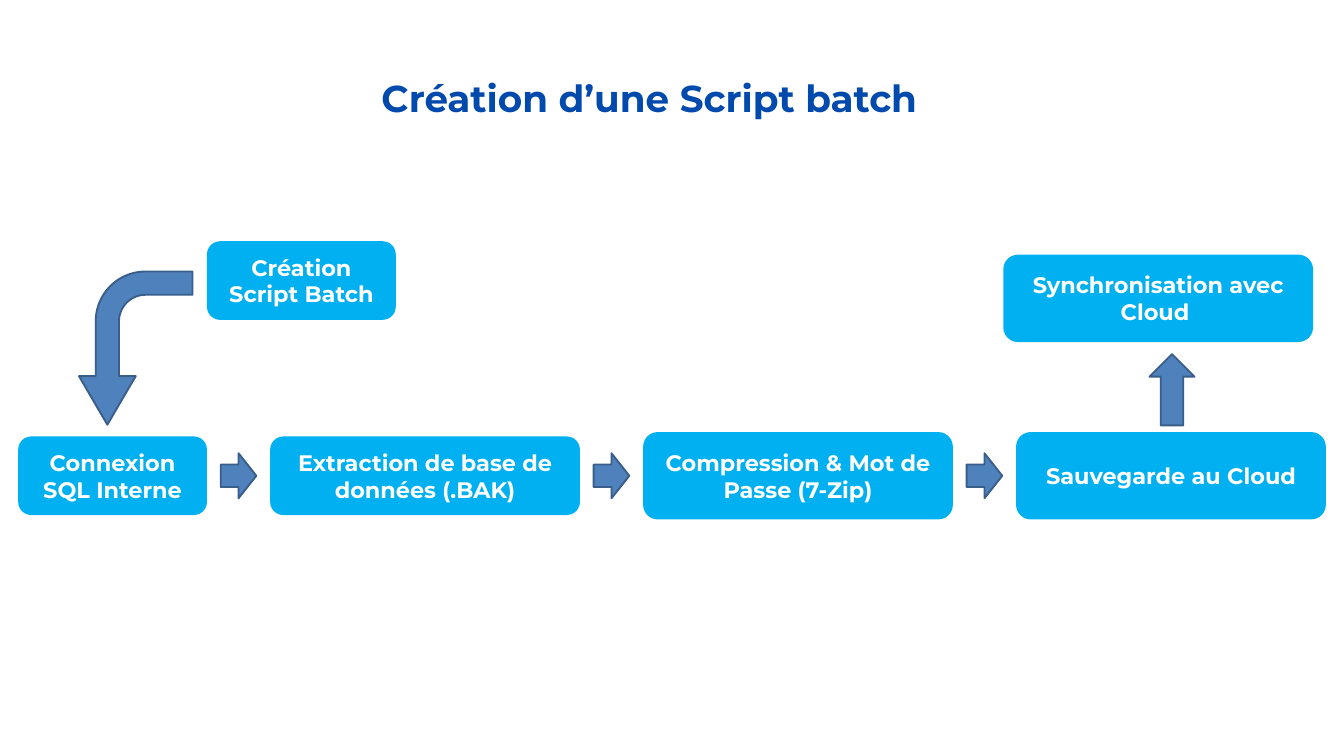
from pptx import Presentation
from pptx.dml.color import RGBColor
from pptx.enum.shapes import MSO_SHAPE
from pptx.enum.text import MSO_ANCHOR, MSO_AUTO_SIZE, PP_ALIGN
from pptx.util import Inches, Pt

TITLE_BLUE = RGBColor(0x00, 0x4A, 0xAD)
BOX_BLUE = RGBColor(0x00, 0xB0, 0xF0)
ARROW_BLUE = RGBColor(0x4F, 0x81, 0xBD)
ARROW_EDGE = RGBColor(0x39, 0x5E, 0x89)
WHITE = RGBColor(0xFF, 0xFF, 0xFF)

TITLE = "Création d’une Script batch "
NARROW, WIDE = 2.81, 4.61
LOW, HIGH = 1.17, 1.3
# Main row, left to right: text, width, height
STEPS = [
    ("Connexion SQL Interne", NARROW, LOW),
    ("Extraction de base de données (.BAK)", WIDE, LOW),
    ("Compression & Mot de Passe (7-Zip)", WIDE, HIGH),
    ("Sauvegarde au Cloud", WIDE, HIGH),
]
# Steps above the row: text, left, top, width, height
UPPER_STEPS = [
    ("Création Script Batch", 3.08, 3.59, NARROW, LOW),
    ("Synchronisation avec Cloud ", 14.93, 3.79, WIDE, HIGH),
]
ROW_LEFT, ROW_MIDDLE, GAP = 0.27, 7.08, 0.94
ARROW_WIDTH, ARROW_LENGTH = 0.67, 0.53

TITLE_FONT = {"name": "Montserrat", "size": Pt(40), "bold": True}
STEP_FONT = {"name": "Montserrat", "size": Pt(24), "bold": True}


def write_text(frame, text, font_format, color):
    frame.word_wrap = True
    paragraph = frame.paragraphs[0]
    paragraph.alignment = PP_ALIGN.CENTER
    run = paragraph.add_run()
    run.text = text
    for name, value in font_format.items():
        setattr(run.font, name, value)
    run.font.color.rgb = color
    return paragraph


def add_filled(slide, kind, left, top, width, height, color):
    shape = slide.shapes.add_shape(
        kind, Inches(left), Inches(top), Inches(width), Inches(height))
    shape.shadow.inherit = False
    shape.fill.solid()
    shape.fill.fore_color.rgb = color
    return shape


def add_step(slide, text, left, top, width, height):
    shape = add_filled(slide, MSO_SHAPE.ROUNDED_RECTANGLE,
                       left, top, width, height, BOX_BLUE)
    shape.line.fill.background()
    shape.text_frame.vertical_anchor = MSO_ANCHOR.MIDDLE
    write_text(shape.text_frame, text, STEP_FONT, WHITE)


def add_arrow(slide, kind, center_x, center_y, width, height, rotation):
    """Place an arrow by its centre, with its size before rotation."""
    shape = add_filled(slide, kind, center_x - width / 2, center_y - height / 2,
                       width, height, ARROW_BLUE)
    shape.line.color.rgb = ARROW_EDGE
    shape.line.width = Pt(2)
    shape.rotation = rotation
    return shape


def add_title(slide):
    box = slide.shapes.add_textbox(
        Inches(2.03), Inches(0.29), Inches(15.42), Inches(1.06))
    frame = box.text_frame
    for side in ("left", "top", "right", "bottom"):
        setattr(frame, f"margin_{side}", 0)
    paragraph = write_text(frame, TITLE, TITLE_FONT, TITLE_BLUE)
    paragraph.line_spacing = 2.25
    frame.auto_size = MSO_AUTO_SIZE.SHAPE_TO_FIT_TEXT


def main():
    presentation = Presentation()
    presentation.slide_width = Inches(20)
    presentation.slide_height = Inches(11.25)
    slide = presentation.slides.add_slide(presentation.slide_layouts[6])

    add_title(slide)

    left = ROW_LEFT
    for index, (text, width, height) in enumerate(STEPS):
        if index:
            add_arrow(slide, MSO_SHAPE.DOWN_ARROW, left - GAP / 2, ROW_MIDDLE,
                      ARROW_WIDTH, ARROW_LENGTH, 270)
        add_step(slide, text, left, ROW_MIDDLE - height / 2, width, height)
        left += width + GAP

    for step in UPPER_STEPS:
        add_step(slide, *step)

    bent = add_arrow(slide, MSO_SHAPE.BENT_ARROW, 2.02, 5.18, 2.28, 1.69, 270)
    bent._element.spPr.get_or_add_xfrm().set("flipH", "1")
    for index, value in enumerate((0.205, 0.25, 0.428, 0.438)):
        bent.adjustments[index] = value

    add_arrow(slide, MSO_SHAPE.DOWN_ARROW, 17.44, 5.8,
              ARROW_WIDTH, 2 * ARROW_LENGTH, 180)

    presentation.save("out.pptx")


if __name__ == "__main__":
    main()
